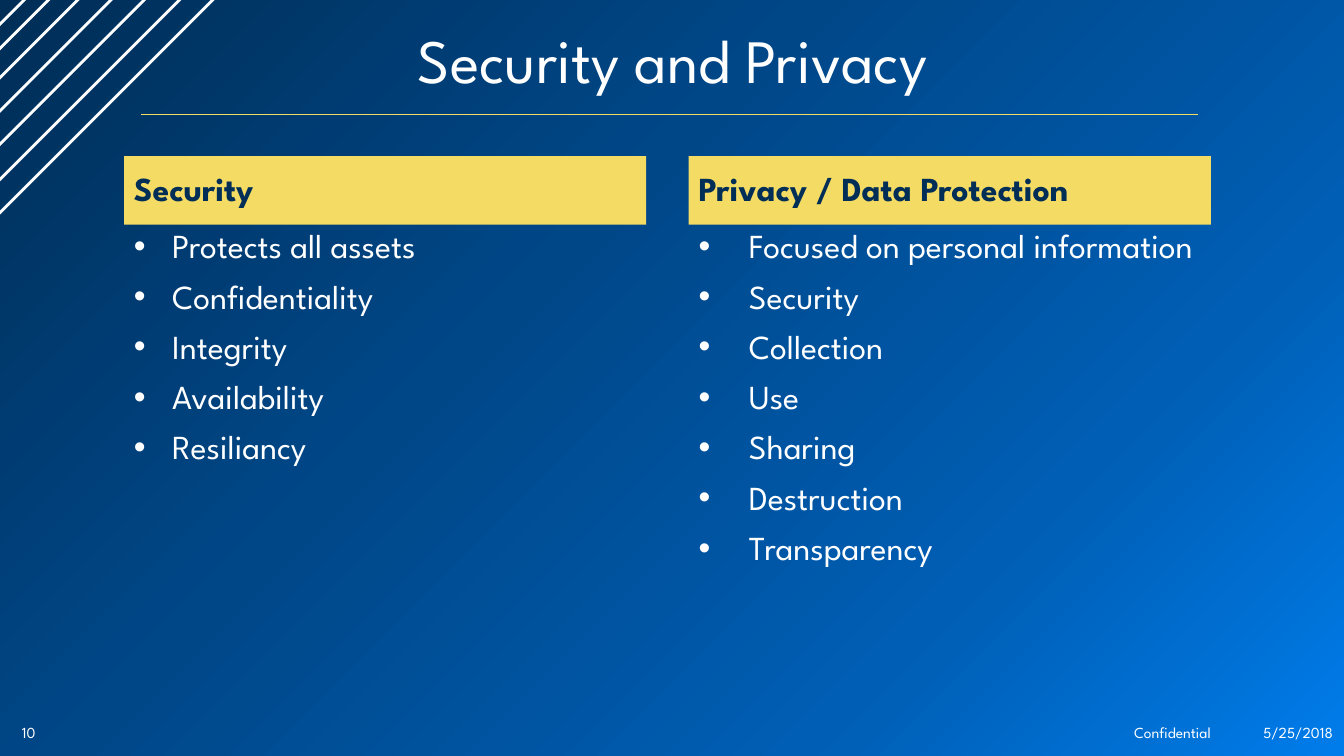
"""Builds the Security and Privacy comparison slide."""
from pptx import Presentation, util as u
from pptx.dml.color import RGBColor
from pptx.enum import shapes, text
from pptx.oxml import parse_xml
from pptx.oxml.ns import nsdecls, qn
from lxml import etree

THEME = {
    "font": "League Spartan",
    "white": "FFFFFF", "gold": "F4DB63", "navy": "002E57",
    "title": 44, "body": 24, "foot": 11,
    "grad": [(0, "007CEA"), (26, "005EB4"), (61, "004788"), (100, "002E57")],
}
TITLE = "Security and Privacy"
COLUMNS = [
    ("Security", 1.23, 0.38,
     ["Protects all assets", "Confidentiality", "Integrity", "Availability", "Resiliancy"]),
    ("Privacy / Data Protection", 6.83, 0.5,
     ["Focused on personal information", "Security", "Collection", "Use",
      "Sharing", "Destruction", "Transparency"]),
]
FOOTER = [
    ("5/25/2018", 12.31, 1.01, "RIGHT"),
    ("Confidential", 11.02, 1.22, "CENTER"),
    ("10", 0.12, 0.57, "LEFT"),
]
STRIPES = [(1.13, -0.03, 1.2), (1.48, -0.05, 1.63), (0.89, -0.12, 0.92), (0.49, -0.01, 0.64),
           (0.25, -0.01, 0.36), (2.32, -0.21, 2.54), (1.81, -0.03, 1.91)]
HEAD_TOP, HEAD_H, COL_W, LIST_H = 1.55, 0.68, 5.18, 4.69


def color(key):
    return RGBColor.from_string(THEME[key])


def paint(slide):
    stops = "".join(f'<a:gs pos="{pos * 1000}"><a:srgbClr val="{tone}"/></a:gs>'
                    for pos, tone in THEME["grad"])
    slide.element.cSld.insert(0, parse_xml(
        f'<p:bg {nsdecls("p", "a")}><p:bgPr><a:gradFill rotWithShape="1">'
        f'<a:gsLst>{stops}</a:gsLst><a:path path="circle">'
        '<a:fillToRect l="100000" t="100000"/></a:path>'
        '<a:tileRect r="-100000" b="-100000"/></a:gradFill><a:effectLst/></p:bgPr></p:bg>'))


def rule(slide, start, end, tone, width):
    line = slide.shapes.add_connector(
        shapes.MSO_CONNECTOR.STRAIGHT, *(u.Inches(v) for v in start + end))
    line.line.color.rgb = color(tone)
    line.line.width = u.Pt(width)
    etree.SubElement(line.element.spPr, qn("a:effectLst"))


def bullet(para, indent):
    props = para._p.get_or_add_pPr()
    props.set("marL", str(u.Inches(indent)))
    props.set("indent", str(-u.Inches(indent)))
    etree.SubElement(props, qn("a:buFont")).set("typeface", "Arial")
    etree.SubElement(props, qn("a:buChar")).set("char", "•")


def write(shape, lines, size, tone="white", align="LEFT", anchor="MIDDLE",
          bold=False, spacing=None, indent=0):
    frame = shape.text_frame
    frame.word_wrap = True
    frame.vertical_anchor = text.MSO_ANCHOR[anchor]
    for i, words in enumerate(lines):
        para = frame.add_paragraph() if i else frame.paragraphs[0]
        if indent:
            bullet(para, indent)
        para.alignment = text.PP_ALIGN[align]
        if spacing:
            para.line_spacing = spacing
        if i:
            para.space_before = u.Pt(10)
        run = para.add_run()
        run.text = words
        look = {"name": THEME["font"], "size": u.Pt(THEME[size]), "bold": bold}
        for key, value in look.items():
            setattr(run.font, key, value)
        run.font.color.rgb = color(tone)


def box(slide, *place):
    return slide.shapes.add_textbox(*(u.Inches(v) for v in place))


def banner(slide, *place):
    shape = slide.shapes.add_shape(
        shapes.MSO_SHAPE.RECTANGLE, *(u.Inches(v) for v in place))
    shape.shadow.inherit = False
    shape.fill.solid()
    shape.fill.fore_color.rgb = color("gold")
    shape.line.fill.background()
    return shape


def main():
    deck = Presentation()
    deck.slide_width, deck.slide_height = u.Inches(13.33), u.Inches(7.5)
    slide = deck.slides.add_slide(deck.slide_layouts[6])
    paint(slide)
    for x, y, span in STRIPES:
        rule(slide, (x, y), (x - span, y + span), "white", 2)
    rule(slide, (11.88, 1.13), (1.4, 1.13), "gold", 0.5)
    write(box(slide, 1.95, 0.15, 9.45, 0.96), [TITLE], "title", align="CENTER", spacing=0.9)
    for words, left, width, align in FOOTER:
        write(box(slide, left, 7.15, width, 0.23), [words], "foot", align=align)
    for head, left, indent, items in COLUMNS:
        write(box(slide, left, HEAD_TOP + HEAD_H, COL_W, LIST_H), items, "body",
              anchor="TOP", spacing=0.9, indent=indent)
        write(banner(slide, left, HEAD_TOP, COL_W, HEAD_H), [head], "body",
              tone="navy", bold=True, spacing=0.9)
    deck.save("out.pptx")


if __name__ == "__main__":
    main()
